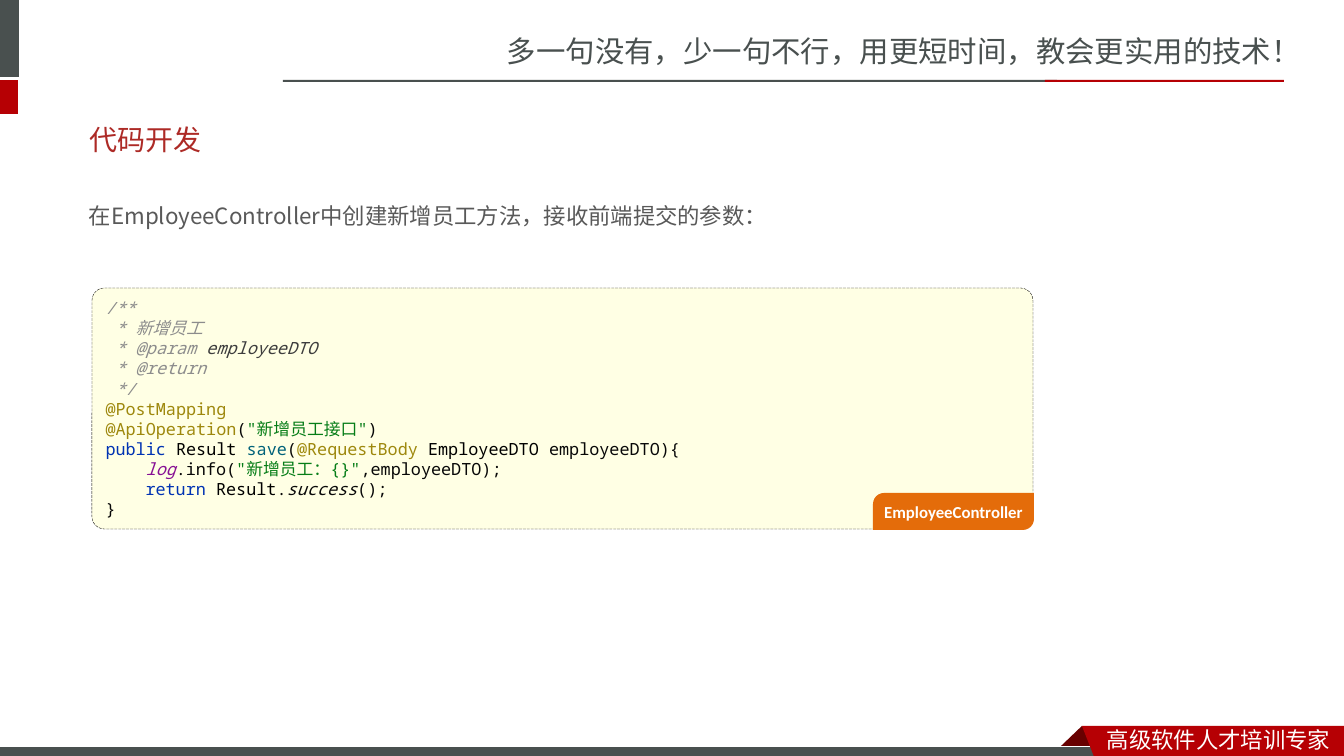
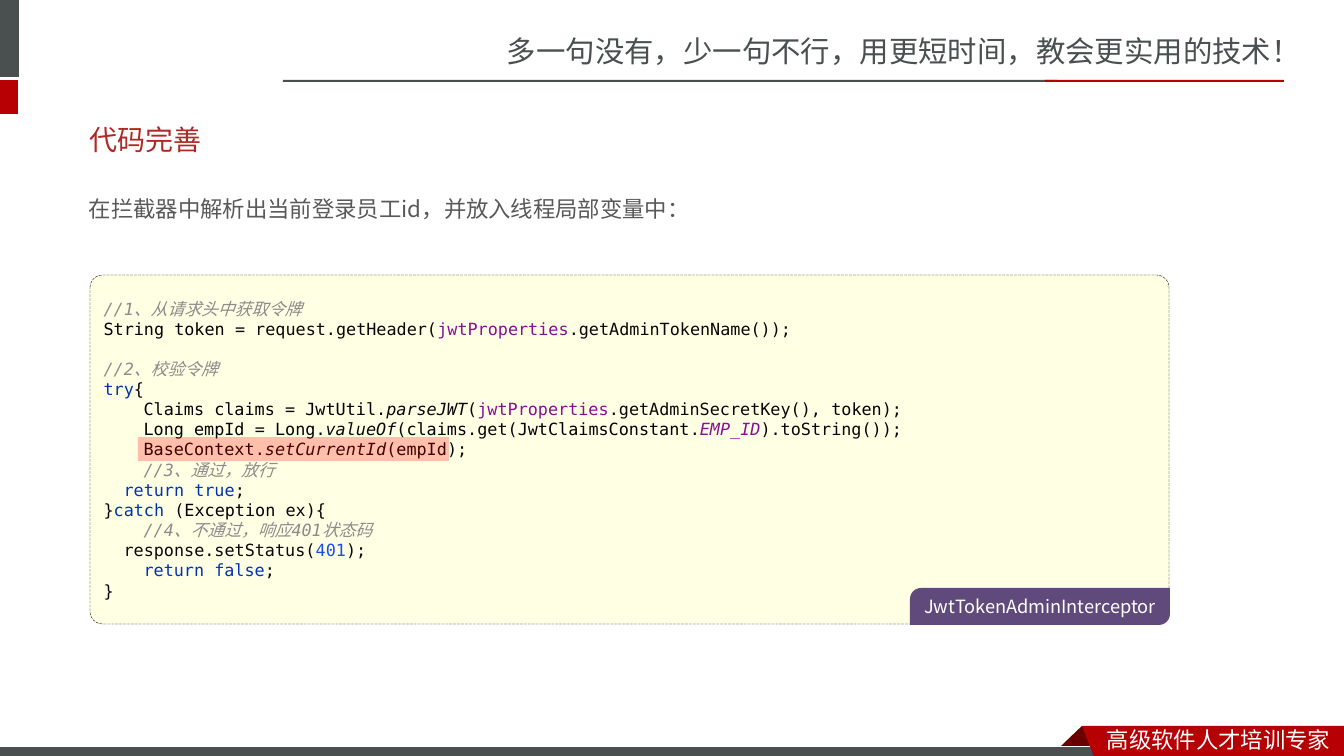
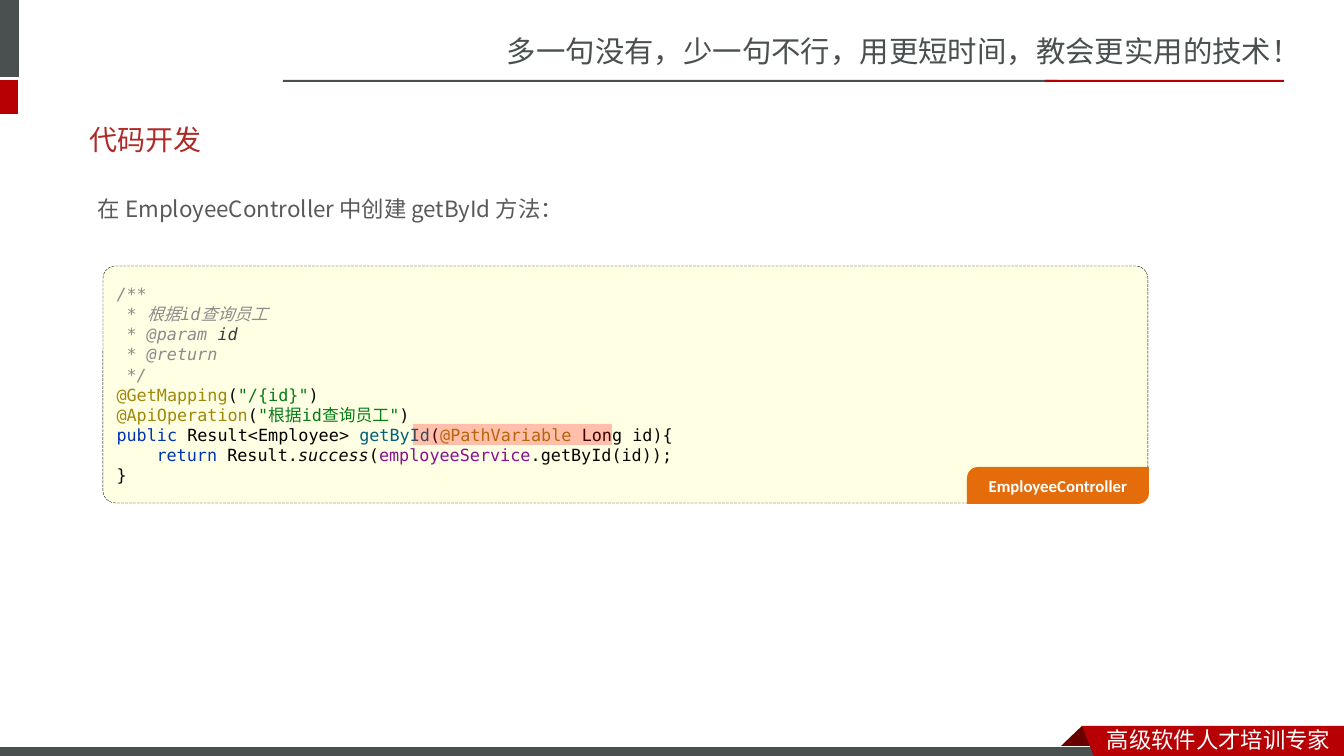
from itertools import groupby

from lxml.etree import SubElement
from pptx import Presentation
from pptx.dml.color import RGBColor
from pptx.enum.dml import MSO_LINE_DASH_STYLE as Dash
from pptx.enum.shapes import MSO_SHAPE as Preset
from pptx.enum.text import MSO_ANCHOR as Anchor, PP_ALIGN as Align
from pptx.oxml.ns import qn
from pptx.util import Pt

SCALE = 914400 / 100.8  # EMU per px
CJK, BODY, TITLE = "Noto Sans CJK SC", "Noto Sans CJK JP", "Calibri"
MONO, DEJAVU = "Noto Sans Mono", "DejaVu Sans Mono"
GREY, RED, DARK_RED, WHITE = "49504F", "B60004", "680000", "FFFFFF"
ORANGE, PURPLE = "E46C0A", "604A7B"

# Code marks: letter -> colour, italic
SYNTAX = {
    "": ("080808", False),
    "i": ("080808", True),
    "c": ("8C8C8C", True),
    "p": ("3D3D3D", True),
    "a": ("9E880D", False),
    "s": ("067D17", False),
    "k": ("0033B3", False),
    "t": ("000000", False),
    "m": ("00627A", False),
    "f": ("871094", False),
    "g": ("871094", True),
    "n": ("1750EB", False),
}

SAVE_CODE = """
`c:/**`
 `c:* 新增员工`
 `c:* @param ``p:employeeDTO`
 `c:* @return`
 `c:*/`
`a:@PostMapping`
`a:@ApiOperation`(`s:"新增员工接口"`)
`k:public ``t:Result ``m:save`(`a:@RequestBody ``t:EmployeeDTO `employeeDTO){
    `g:log`.info(`s:"新增员工：{}"`,employeeDTO);
    `k:return ``t:Result`.`i:success`();
}
"""

TOKEN_CODE = """
`c://1、从请求头中获取令牌`
`t:String token `= request.getHeader(`f:jwtProperties`.getAdminTokenName());

`c://2、校验令牌`
`k:try`{
    `t:Claims claims `= `t:JwtUtil`.`i:parseJWT`(`f:jwtProperties`.getAdminSecretKey(), `t:token`);
    `t:Long empId `= `t:Long`.`i:valueOf`(`t:claims`.get(`t:JwtClaimsConstant`.`g:EMP_ID`).toString());
    `t:BaseContext`.`i:setCurrentId`(`t:empId`);
    `c://3、通过，放行`
  `k:return true`;
}`k:catch `(`t:Exception `ex){
    `c://4、不通过，响应401状态码`
  response.setStatus(`n:401`);
    `k:return false`;
}
"""

GET_CODE = """
`c:/**`
 `c:* 根据id查询员工`
 `c:* @param ``p:id`
 `c:* @return`
 `c:*/`
`a:@GetMapping`(`s:"/{id}"`)
`a:@ApiOperation`(`s:"根据id查询员工"`)
`k:public ``t:Result`<`t:Employee`> `m:getById`(`a:@PathVariable ``t:Long `id){
    `k:return ``t:Result`.`i:success`(`f:employeeService`.getById(id));
}
"""


def px(length):
    return round(length * SCALE)


def hue(code):
    return RGBColor.from_string(code)


def is_cjk(letter):
    return ord(letter) > 0x2E7F


def style(span, size, face, color, bold=False, italic=False):
    font = span.font
    font.size, font.name, font.bold, font.italic = Pt(size), face, bold, italic
    font.color.rgb = hue(color)
    SubElement(span._r.get_or_add_rPr(), qn("a:ea")).set("typeface", face)


def write(frame, text, size, face, color, bold=False, align=Align.LEFT):
    """Put one styled paragraph into a text frame and return it."""
    frame.text = text
    para = frame.paragraphs[0]
    para.alignment = align
    for span in para.runs:
        style(span, size, face, color, bold)
    return para


def write_code_line(para, line, face):
    """Write one line of marked code, with its leading blanks as an indent."""
    code = line.lstrip(" ")
    para.alignment = Align.LEFT
    para._p.get_or_add_pPr().set("marL", str(px(10 * (len(line) - len(code)))))
    for index, piece in enumerate(code.split("`")):
        mark, text = piece.split(":", 1) if index % 2 else ("", piece)
        color, italic = SYNTAX[mark]
        for wide, letters in groupby(text, is_cjk):
            span = para.add_run()
            span.text = "".join(letters)
            style(span, 12, CJK if wide else face, color, italic=italic)


class Course:
    def __init__(self):
        self.deck = Presentation()
        self.deck.slide_width, self.deck.slide_height = px(1344), px(756)
        self.layout = self.deck.slide_layouts[5]
        self.page = None

    def new_page(self, title):
        self.page = self.deck.slides.add_slide(self.layout)
        if len(self.deck.slides) == 1:
            self.furnish_layout()
        box = self.page.shapes.title
        box.left, box.top, box.width, box.height = map(px, (79, 111, 1179, 57))
        box.text_frame.vertical_anchor = Anchor.MIDDLE
        write(box.text_frame, title, 20, TITLE, "AD2A26")

    def furnish_layout(self):
        """Draw the header and footer once and move them into the layout."""
        for holder in list(self.layout.placeholders):
            if holder.placeholder_format.idx:
                self.layout.shapes.element.remove(holder.element)
        self.text("多一句没有，少一句不行，用更短时间，教会更实用的技术！",
                  497, 28, 848, 47, 21, CJK, GREY)
        self.shape(Preset.RECTANGLE, -6, 0, 25, 77, GREY)
        self.shape(Preset.RECTANGLE, -6, 80, 24, 34, RED)
        self.shape(Preset.RECTANGLE, 283, 80, 774, 2, GREY)
        self.shape(Preset.RECTANGLE, 1045, 80, 239, 2, RED)
        self.outline([(1082, 726), (1104, 748), (1103, 749), (1060, 749), (1059, 748)], DARK_RED)
        band = self.shape(Preset.RECTANGLE, -1, 747, 1109, 12, GREY)
        band.line.color.rgb = hue(WHITE)
        band.line.width = Pt(0.75)
        self.outline([(1082, 726), (1344, 726), (1344, 760), (1095, 759)], RED)
        self.text("高级软件人才培训专家", 1097, 721, 247, 37, 16, CJK, WHITE)
        for shape in list(self.page.shapes):
            if not shape.is_placeholder:
                self.layout.shapes.element.append(shape.element)

    def finish(self, shape, fill):
        shape.shadow.inherit = False
        shape.fill.solid()
        shape.fill.fore_color.rgb = hue(fill)
        shape.line.fill.background()
        return shape

    def shape(self, preset, left, top, width, height, fill):
        place = map(px, (left, top, width, height))
        return self.finish(self.page.shapes.add_shape(preset, *place), fill)

    def outline(self, points, fill):
        builder = self.page.shapes.build_freeform(*points[0], scale=SCALE)
        builder.add_line_segments(points[1:], close=True)
        return self.finish(builder.convert_to_shape(), fill)

    def text(self, text, left, top, width, height, size, face, color):
        box = self.page.shapes.add_textbox(*map(px, (left, top, width, height)))
        box.text_frame.word_wrap = True
        return write(box.text_frame, text, size, face, color)

    def intro(self, text, left, top, width):
        self.text(text, left, top, width, 46, 16, BODY, "595959").line_spacing = 1.5

    def code(self, source, face, left, top, width, height):
        panel = self.shape(Preset.ROUNDED_RECTANGLE, left, top, width, height, "FFFFE4")
        panel.adjustments[0] = 12.5 / height
        panel.line.color.rgb = hue("000000")
        panel.line.width = Pt(0.25)
        panel.line.dash_style = Dash.LONG_DASH
        frame = panel.text_frame
        frame.word_wrap = True
        frame.vertical_anchor = Anchor.MIDDLE
        para, gap = frame.paragraphs[0], False
        for index, line in enumerate(source.strip("\n").splitlines()):
            if line:
                para = frame.add_paragraph() if index else para
                para.space_before = Pt(14 if gap else 0)
                write_code_line(para, line, face)
            gap = not line
        return panel

    def tag(self, panel, text, width, fill, size=12, face=TITLE, bold=True):
        """Label the bottom right corner of a code panel."""
        right = (panel.left + panel.width) / SCALE + 1
        bottom = (panel.top + panel.height) / SCALE + 1
        label = self.shape(Preset.ROUND_2_DIAG_RECTANGLE, right - width, bottom - 37, width, 37, fill)
        label.adjustments[0], label.adjustments[1] = 0.3, 0
        frame = label.text_frame
        frame.margin_left = frame.margin_right = frame.margin_top = frame.margin_bottom = 0
        frame.vertical_anchor = Anchor.MIDDLE
        write(frame, text, size, face, WHITE, bold, Align.CENTER)

    def highlight(self, left, top, width, height):
        marker = self.shape(Preset.RECTANGLE, left, top, width, height, "FF0000")
        color = marker.element.spPr.find(qn("a:solidFill"))[0]
        SubElement(color, qn("a:alpha")).set("val", "25000")


def main():
    course = Course()

    course.new_page("代码开发")
    course.intro("在EmployeeController中创建新增员工方法，接收前端提交的参数：", 79, 184, 1172)
    panel = course.code(SAVE_CODE, MONO, 92, 288, 941, 241)
    course.tag(panel, "EmployeeController", 161, ORANGE)

    course.new_page("代码完善")
    course.intro("在拦截器中解析出当前登录员工id，并放入线程局部变量中：", 79, 177, 1214)
    panel = course.code(TOKEN_CODE, DEJAVU, 90, 275, 1079, 349)
    course.tag(panel, "JwtTokenAdminInterceptor", 260, PURPLE, 13, BODY, False)
    course.highlight(138, 437, 311, 24)

    course.new_page("代码开发")
    course.intro("在 EmployeeController 中创建 getById 方法：", 88, 177, 1109)
    panel = course.code(GET_CODE, DEJAVU, 103, 266, 1045, 237)
    course.highlight(413, 424, 199, 21)
    course.tag(panel, "EmployeeController", 182, ORANGE)

    course.deck.save("out.pptx")


if __name__ == "__main__":
    main()
